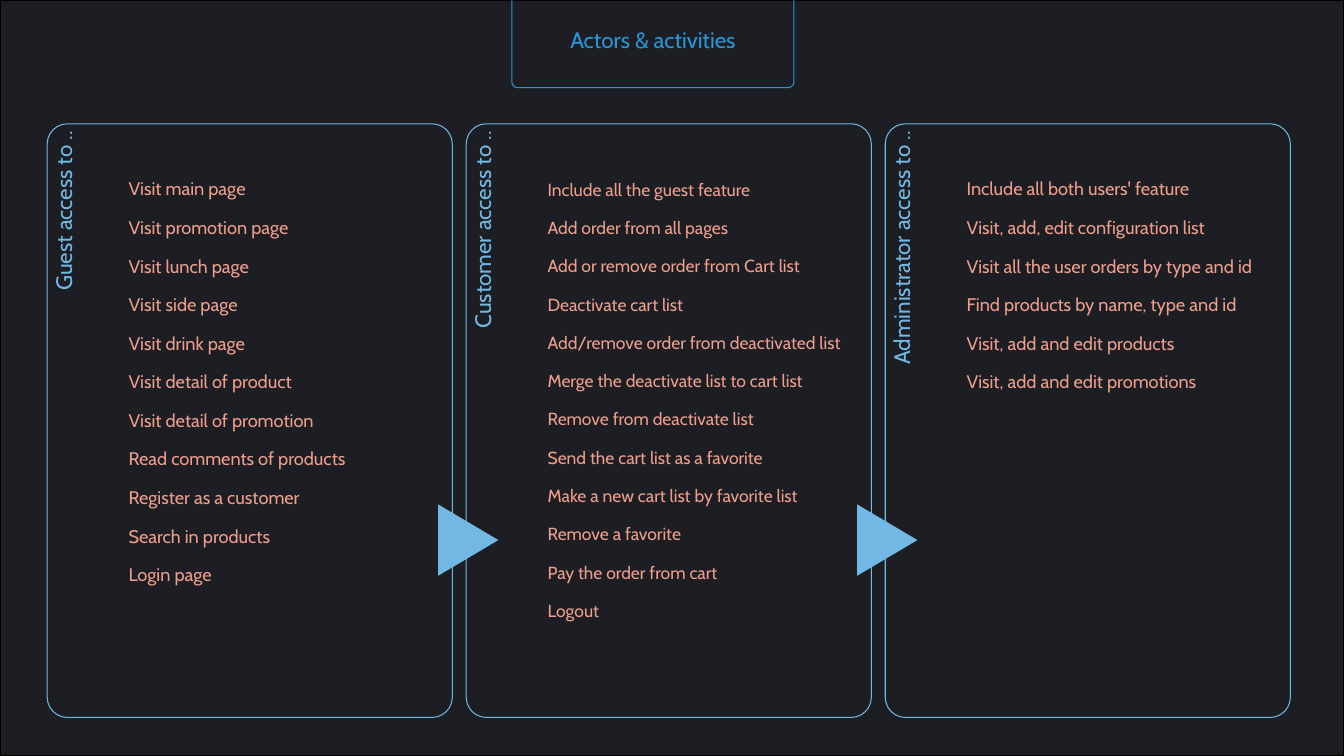
import dataclasses

import pptx
import pptx.dml.color
import pptx.enum.shapes
import pptx.enum.text
import pptx.util

Cm = pptx.util.Cm
Pt = pptx.util.Pt
Kind = pptx.enum.shapes.MSO_SHAPE
Align = pptx.enum.text.PP_ALIGN
Anchor = pptx.enum.text.MSO_ANCHOR

FONT = "Cabin"
HUES = {
    "night": "1C1E24",
    "black": "000000",
    "blue": "2996D6",
    "sky": "71B9E4",
    "coral": "EE9E8A",
}
WIDTH, HEIGHT = 33.87, 19.05
LEFT, TOP, STEP = 1.19, 3.12, 10.56
WIDE, TALL = 10.21, 14.96


@dataclasses.dataclass
class Box:
    """Left, top, width and height in centimetres."""
    left: float
    top: float
    width: float
    height: float

    def emu(self) -> tuple:
        return Cm(self.left), Cm(self.top), Cm(self.width), Cm(self.height)


@dataclasses.dataclass
class Actor:
    label: str
    size: float
    tasks: list[str]


ACTORS = [
    Actor("Guest access to ..", 13, [
        "Visit main page",
        "Visit promotion page",
        "Visit lunch page",
        "Visit side page",
        "Visit drink page",
        "Visit detail of product",
        "Visit detail of promotion",
        "Read comments of products",
        "Register as a customer",
        "Search in products",
        "Login page",
    ]),
    Actor("Customer access to ..", 12.5, [
        "Include all the guest feature",
        "Add order from all pages",
        "Add or remove order from Cart list",
        "Deactivate cart list",
        "Add/remove order from deactivated list",
        "Merge the deactivate list to cart list",
        "Remove from deactivate list",
        "Send the cart list as a favorite",
        "Make a new cart list by favorite list",
        "Remove a favorite",
        "Pay the order from cart",
        "Logout",
    ]),
    Actor("Administrator access to ..", 13, [
        "Include all both users' feature",
        "Visit, add, edit configuration list",
        "Visit all the user orders by type and id",
        "Find products by name, type and id",
        "Visit, add and edit products",
        "Visit, add and edit promotions",
    ]),
]


def tint(hue: str) -> pptx.dml.color.RGBColor:
    return pptx.dml.color.RGBColor.from_string(HUES[hue])


def draw(slide, kind, box: Box, fill: str = "", line: str = "", weight: float = 0.75):
    """Add a preset shape; an empty colour name means no fill or no line."""
    shape = slide.shapes.add_shape(kind, *box.emu())
    shape.shadow.inherit = False
    if fill:
        shape.fill.solid()
        shape.fill.fore_color.rgb = tint(fill)
    else:
        shape.fill.background()
    if line:
        shape.line.color.rgb = tint(line)
        shape.line.width = Pt(weight)
    else:
        shape.line.fill.background()
    return shape


def write(para, text: str, size: float, hue: str) -> None:
    run = para.add_run()
    run.text = text
    run.font.name = FONT
    run.font.size = Pt(size)
    run.font.color.rgb = tint(hue)


def add_text(slide, box: Box, top: float, right: float):
    """Add a wrapping text box with the given top and right insets in centimetres."""
    shape = slide.shapes.add_textbox(*box.emu())
    frame = shape.text_frame
    frame.word_wrap = True
    frame.margin_left = frame.margin_bottom = 0
    frame.margin_top, frame.margin_right = Cm(top), Cm(right)
    return shape


def add_title(slide) -> None:
    tab = draw(slide, Kind.ROUNDED_RECTANGLE, Box(12.9, -0.2, 7.11, 2.41), line="blue")
    tab.adjustments[0] = 0.06
    tab.text_frame.vertical_anchor = Anchor.MIDDLE
    para = tab.text_frame.paragraphs[0]
    para.alignment = Align.CENTER
    write(para, "Actors & activities", 16, "blue")


def add_label(slide, left: float, text: str) -> None:
    shape = add_text(slide, Box(left - 5.13, 8.23, 12.27, 2.03), 0.15, 0.2)
    shape.rotation = 270
    para = shape.text_frame.paragraphs[0]
    para.alignment = Align.RIGHT
    para.line_spacing = 0.9
    write(para, text, 16, "sky")


def add_tasks(slide, left: float, actor: Actor) -> None:
    frame = add_text(slide, Box(left + 2.05, TOP, 7.59, TALL), 1.1, 0).text_frame
    for row, task in enumerate(actor.tasks):
        para = frame.add_paragraph() if row else frame.paragraphs[0]
        para.line_spacing = Pt(23)
        para.space_after = Pt(0.35 * actor.size)
        write(para, task, actor.size, "coral")


def add_panel(slide, index: int, actor: Actor) -> None:
    left = LEFT + index * STEP
    panel = draw(slide, Kind.ROUNDED_RECTANGLE, Box(left, TOP, WIDE, TALL), line="sky")
    panel.adjustments[0] = 0.05
    add_label(slide, left, actor.label)
    if index:
        arrow = Box(left - 0.85, 12.85, 1.8, 1.52)
        draw(slide, Kind.FLOWCHART_EXTRACT, arrow, fill="sky").rotation = 90
    add_tasks(slide, left, actor)


def main() -> None:
    deck = pptx.Presentation()
    deck.slide_width, deck.slide_height = Cm(WIDTH), Cm(HEIGHT)
    slide = deck.slides.add_slide(deck.slide_layouts[6])
    draw(slide, Kind.RECTANGLE, Box(0, 0, WIDTH, HEIGHT), "night", "black", 1.75)
    add_title(slide)
    for index, actor in enumerate(ACTORS):
        add_panel(slide, index, actor)
    deck.save("out.pptx")


if __name__ == "__main__":
    main()
